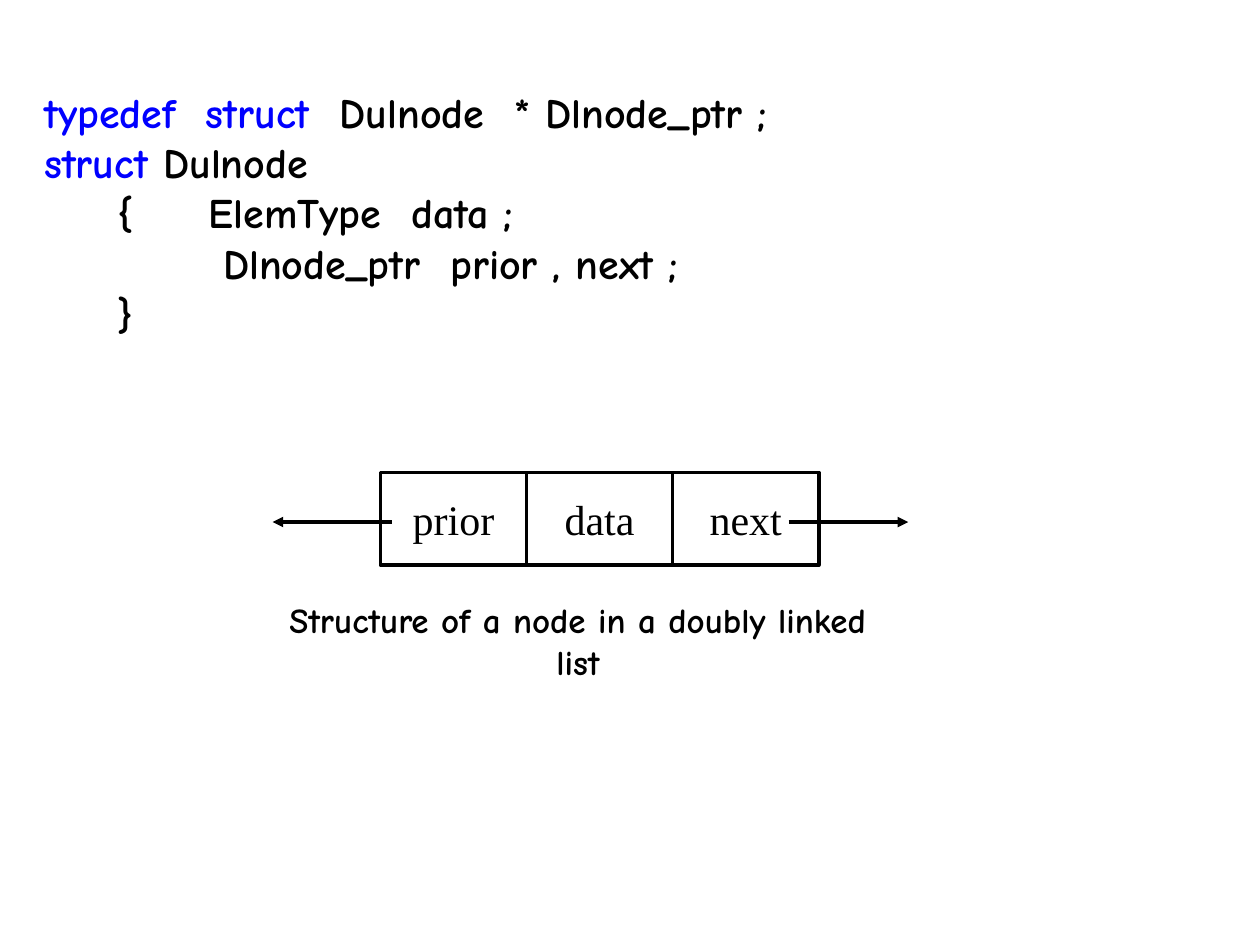
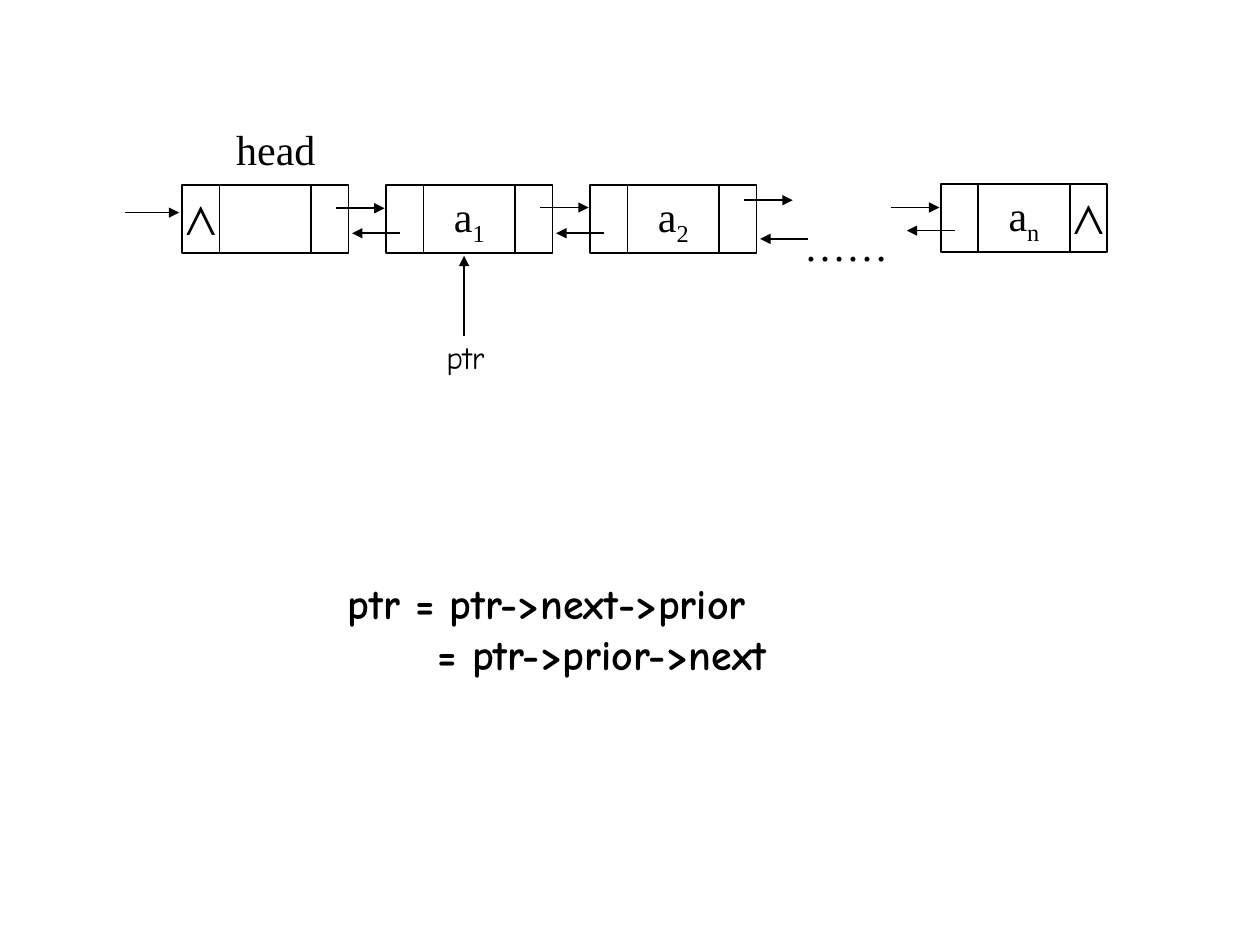
import pptx
import pptx.dml.color
import pptx.enum.shapes
import pptx.enum.text
import pptx.oxml.ns
import pptx.util
from lxml import etree

Pt = pptx.util.Pt
ALIGN = pptx.enum.text.PP_ALIGN
ANCHOR = pptx.enum.text.MSO_ANCHOR

# Shared styles
BLACK, BLUE = "000000", "0000FF"
CELL = {"name": "Times New Roman", "size": Pt(24)}
CODE = {"name": "Comic Neue", "size": Pt(24), "bold": True}
CAPTION = {**CODE, "size": Pt(20)}
LABEL = {"name": "Comic Neue", "size": Pt(18)}
CENTRED = {"vertical_anchor": ANCHOR.MIDDLE, "word_wrap": False,
           "margin_left": 0, "margin_right": 0}

# Doubly linked list: widths of a node's parts, height, gap between node starts
LINK_W, DATA_W, NODE_H, STEP = 21.4, 52.3, 38.9, 116.6
FIRST_X, NODE_Y = 104, 105.8
LAST_X, LAST_Y = 537.6, 105.1


def color(hex_value):
    return pptx.dml.color.RGBColor.from_string(hex_value)


def apply(target, values):
    for key, value in values.items():
        setattr(target, key, value)


def add_run(p, text, fmt, hex_value=BLACK, subscript=False):
    r = p.add_run()
    r.text = text
    apply(r.font, fmt)
    r.font.color.rgb = color(hex_value)
    if subscript:
        r._r.get_or_add_rPr().set("baseline", "-25000")


def add_text(s, box, lines, fmt, align=ALIGN.LEFT, **frame):
    """Each line is an indent and a list of (text, colour) runs."""
    sp = s.shapes.add_textbox(*map(Pt, box))
    tf = sp.text_frame
    apply(tf, {"word_wrap": True, **frame})
    for i, (indent, runs) in enumerate(lines):
        p = tf.paragraphs[0] if i == 0 else tf.add_paragraph()
        p.alignment = align
        if indent:
            p._p.get_or_add_pPr().set("marL", str(Pt(indent)))
        for text, hex_value in runs:
            add_run(p, text, fmt, hex_value)


def add_label(s, box, text, fmt, align=ALIGN.LEFT, **frame):
    add_text(s, box, [(0, [(text, BLACK)])], fmt, align, **frame)


def add_cell(s, box, text="", subscript="", weight=1):
    sp = s.shapes.add_shape(pptx.enum.shapes.MSO_SHAPE.RECTANGLE, *map(Pt, box))
    sp.shadow.inherit = False
    sp.fill.background()
    sp.line.color.rgb = color(BLACK)
    sp.line.width = Pt(weight)
    tf = sp.text_frame
    apply(tf, CENTRED)
    p = tf.paragraphs[0]
    p.alignment = ALIGN.CENTER
    if text:
        add_run(p, text, CELL)
    if subscript:
        add_run(p, subscript, CELL, subscript=True)


def add_arrow(s, x1, y1, x2, y2, weight=1):
    c = s.shapes.add_connector(pptx.enum.shapes.MSO_CONNECTOR.STRAIGHT,
                               Pt(x1), Pt(y1), Pt(x2), Pt(y2))
    c.line.color.rgb = color(BLACK)
    c.line.width = Pt(weight)
    qn = pptx.oxml.ns.qn
    etree.SubElement(c.line._get_or_add_ln(), qn("a:tailEnd"), type="triangle")
    etree.SubElement(c._element.spPr, qn("a:effectLst"))


def add_node(s, x, y, prior="", data="", subscript="", following=""):
    add_cell(s, (x + LINK_W, y, DATA_W, NODE_H), data, subscript)
    add_cell(s, (x, y, LINK_W, NODE_H), prior)
    add_cell(s, (x + LINK_W + DATA_W, y, LINK_W, NODE_H), following)


def add_links(s, x, next_y, prior_y):
    """Arrows to and from the node that follows the one at x."""
    add_arrow(s, x + 88.2, next_y, x + 115.8, next_y)
    add_arrow(s, x + 124.8, prior_y, x + 97.2, prior_y)


def node_structure(s):
    # Type definition
    add_text(s, (18.3, 45.6, 690, 264.5), [
        (0, [("typedef  struct", BLUE), ("  Dulnode  * Dlnode_ptr ;", BLACK)]),
        (0, [("struct", BLUE), (" Dulnode", BLACK)]),
        (42, [("{     ElemType  data ;", BLACK)]),
        (85, [("  Dlnode_ptr  prior , next ;", BLACK)]),
        (42, [("}", BLACK)]),
    ], CODE)

    # One node with its two pointers
    for i, field in enumerate(("prior", "data", "next")):
        add_cell(s, (217.4 + 83.5 * i, 270, 83.5, 53), field, weight=2)
    add_arrow(s, 450.7, 298.3, 519, 298.3, 2)
    add_arrow(s, 224, 298.3, 155.8, 298.3, 2)
    add_label(s, (150.3, 345.6, 360, 41),
              "Structure of a node in a doubly linked list", CAPTION,
              ALIGN.CENTER, vertical_anchor=ANCHOR.MIDDLE)


def linked_list(s):
    # Nodes
    add_label(s, (457.9, 126, 51.1, 28), "……", CELL, ALIGN.CENTER, **CENTRED)
    add_label(s, (130.3, 65.5, 54.7, 38.9), "head", CELL, ALIGN.CENTER, **CENTRED)
    add_node(s, FIRST_X, NODE_Y, prior="⋀")
    for i in (1, 2):
        add_node(s, FIRST_X + STEP * i, NODE_Y, data="a", subscript=str(i))
    add_node(s, LAST_X, LAST_Y, data="a", subscript="n", following="⋀")

    # Links between neighbours, then the entry arrow
    add_links(s, FIRST_X, 119, 133.3)
    add_links(s, FIRST_X + STEP, 118.6, 133.3)
    add_links(s, FIRST_X + STEP * 2, 114.4, 136.5)
    add_links(s, LAST_X - STEP, 118.6, 131.8)
    add_arrow(s, 71.3, 121.5, 102.4, 121.5, 0.75)

    # Pointer to the first element and its identity
    add_arrow(s, 265.2, 192.2, 265.2, 146.2, 0.75)
    add_label(s, (248, 189.4, 77.8, 28.8), "ptr", LABEL)
    add_text(s, (191.7, 326.7, 360, 64.8), [
        (0, [("ptr = ptr->next->prior", BLACK)]),
        (0, [("      = ptr->prior->next", BLACK)]),
    ], CODE)


def main():
    prs = pptx.Presentation()
    prs.slide_width, prs.slide_height = Pt(720), Pt(540)
    for build in (node_structure, linked_list):
        build(prs.slides.add_slide(prs.slide_layouts[6]))
    prs.save("out.pptx")


if __name__ == "__main__":
    main()
